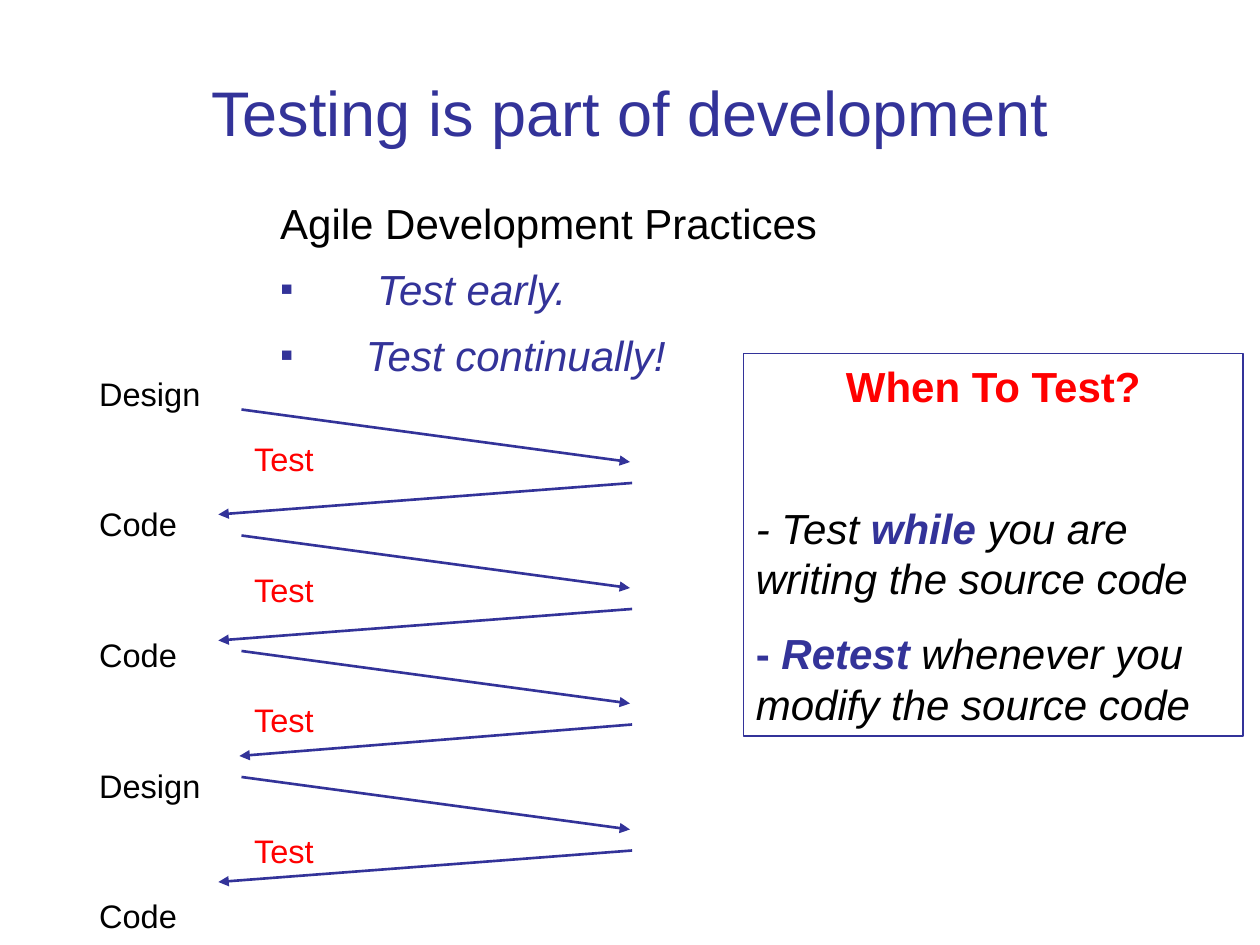
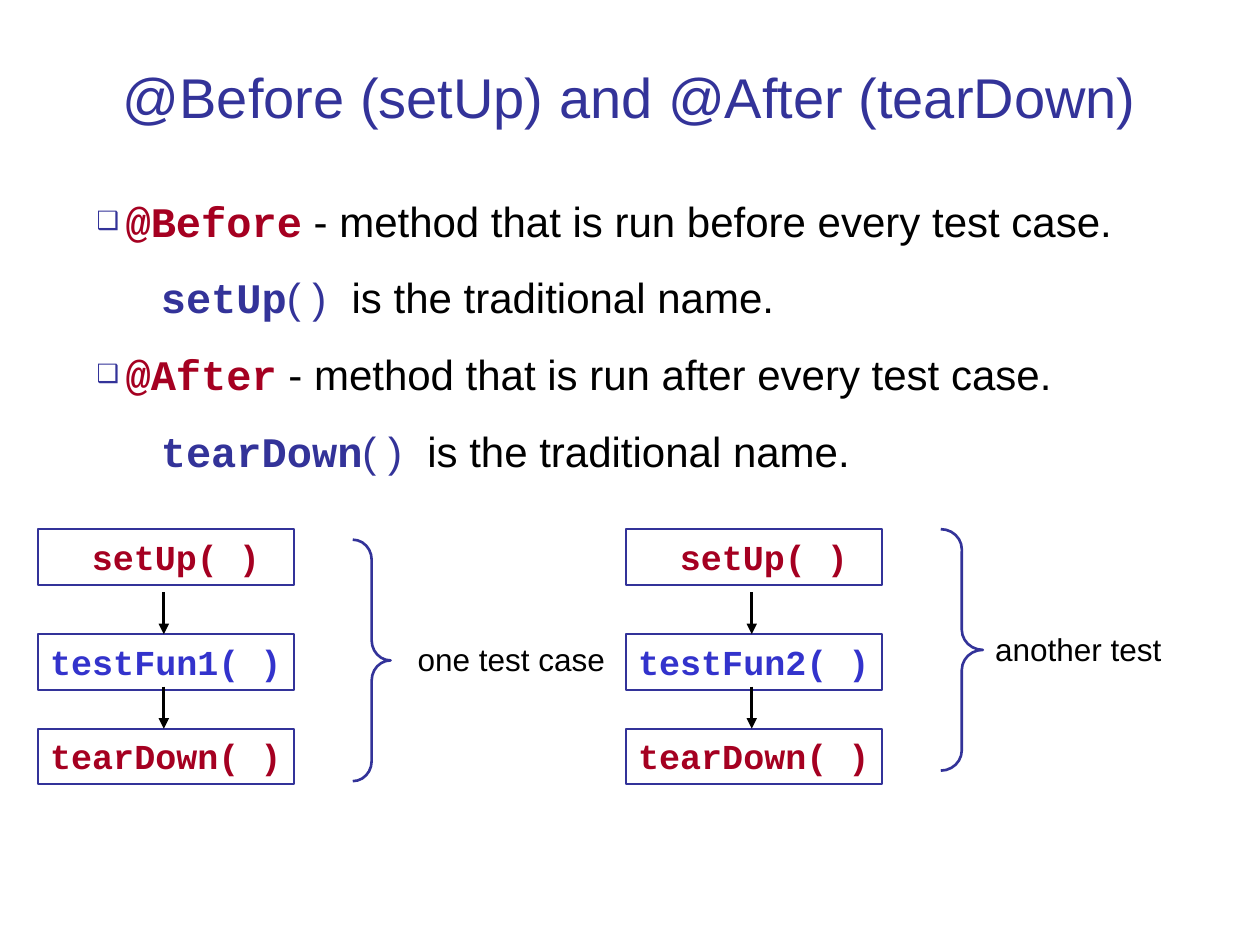
from dataclasses import dataclass

from lxml import etree
from pptx import Presentation
from pptx.dml.color import RGBColor
from pptx.enum.shapes import MSO_CONNECTOR, MSO_SHAPE
from pptx.enum.text import MSO_ANCHOR, MSO_AUTO_SIZE, PP_ALIGN
from pptx.oxml.ns import qn
from pptx.util import Inches, Pt

LEFT, CENTER = PP_ALIGN.LEFT, PP_ALIGN.CENTER
TOP, BOTTOM = MSO_ANCHOR.TOP, MSO_ANCHOR.BOTTOM
NO_FIT = MSO_AUTO_SIZE.NONE
RECTANGLE, BRACE = MSO_SHAPE.RECTANGLE, MSO_SHAPE.RIGHT_BRACE
STRAIGHT = MSO_CONNECTOR.STRAIGHT

COLORS = {"navy": "333399", "black": "000000", "red": "FF0000",
          "crimson": "A50021", "blue": "3333CC"}
SANS, MONO = "Arial", "Courier New"
COLUMNS, ROWS = 120, 90
SLIDE_WIDTH, SLIDE_HEIGHT = Inches(10), Inches(7.5)
LINE_SPACING = 1.0


@dataclass
class Area:
    """A rectangle in grid columns and rows."""
    column: float
    row: float
    width: float
    height: float

    def lengths(self) -> tuple:
        return across(self.column), down(self.row), across(self.width), down(self.height)


@dataclass
class Span:
    text: str
    color: str = "black"
    font: str = SANS
    bold: bool = False
    italic: bool = False


@dataclass
class Para:
    """A paragraph; indents are in inches, space before in points."""
    spans: list
    size: float = 24
    before: float = 0
    margin: float = 0
    bullet: str = ""
    bullet_size: int = 100
    align: int = LEFT
    level: int = 0


@dataclass
class TestCase:
    column: float
    function: str
    label: str
    label_area: Area
    brace: Area
    brace_curve: float


def across(columns: float) -> int:
    return round(SLIDE_WIDTH * columns / COLUMNS)


def down(rows: float) -> int:
    return round(SLIDE_HEIGHT * rows / ROWS)


def rgb(name: str) -> RGBColor:
    return RGBColor.from_string(COLORS[name])


def set_bullet(paragraph, para: Para) -> None:
    properties = paragraph._p.get_or_add_pPr()
    properties.set("marL", str(Inches(para.margin)))
    properties.set("indent", str(-Inches(para.margin) if para.bullet else 0))
    if not para.bullet:
        etree.SubElement(properties, qn("a:buNone"))
        return
    color = etree.SubElement(properties, qn("a:buClr"))
    etree.SubElement(color, qn("a:srgbClr"), val=COLORS["navy"])
    etree.SubElement(properties, qn("a:buSzPct"), val=str(para.bullet_size * 1000))
    etree.SubElement(properties, qn("a:buFont"), typeface=SANS)
    etree.SubElement(properties, qn("a:buChar"), char=para.bullet)


def write(box, paras: list, anchor=TOP, right_inset: float = 0.1) -> None:
    frame = box.text_frame
    frame.word_wrap = True
    frame.auto_size = NO_FIT
    frame.vertical_anchor = anchor
    frame.margin_right = Inches(right_inset)
    for index, para in enumerate(paras):
        paragraph = frame.add_paragraph() if index else frame.paragraphs[0]
        paragraph.level = para.level
        set_bullet(paragraph, para)
        paragraph.alignment = para.align
        paragraph.line_spacing = LINE_SPACING
        paragraph.space_before = Pt(para.before if index else 0)
        paragraph.space_after = Pt(0)
        for span in para.spans:
            run = paragraph.add_run()
            run.text = span.text
            run.font.name = span.font
            run.font.size = Pt(para.size)
            run.font.bold = span.bold
            run.font.italic = span.italic
            run.font.color.rgb = rgb(span.color)


def fill_placeholder(box, area: Area, paras: list, anchor=TOP) -> None:
    box.left, box.top, box.width, box.height = area.lengths()
    write(box, paras, anchor)


def add_page(deck, title: str, size: float, title_height: float,
             body_area: Area, body: list):
    page = deck.slides.add_slide(deck.slide_layouts[1])
    heading = Para([Span(title, "navy")], size, align=CENTER)
    fill_placeholder(page.shapes.title, Area(8, 3.4, 104, title_height), [heading], BOTTOM)
    fill_placeholder(page.placeholders[1], body_area, body)
    return page


def add_text(page, area: Area, paras: list) -> None:
    write(page.shapes.add_textbox(*area.lengths()), paras)


def add_outline(page, kind, area: Area, weight: float):
    shape = page.shapes.add_shape(kind, *area.lengths())
    shape.shadow.inherit = False
    shape.fill.background()
    shape.line.color.rgb = rgb("navy")
    shape.line.width = Pt(weight)
    return shape


def add_arrow(page, start: tuple, end: tuple, color: str) -> None:
    arrow = page.shapes.add_connector(
        STRAIGHT, across(start[0]), down(start[1]), across(end[0]), down(end[1]))
    arrow.line.color.rgb = rgb(color)
    arrow.line.width = Pt(1.5)
    etree.SubElement(arrow.line._get_or_add_ln(), qn("a:tailEnd"), type="triangle")
    etree.SubElement(arrow._element.spPr, qn("a:effectLst"))


def add_test_case(page, case: TestCase) -> None:
    steps = [(50.4, "setUp( )", "crimson", 0.33),
             (60.4, f"{case.function}( )", "blue", 0),
             (69.4, "tearDown( )", "crimson", 0)]
    for row, text, color, margin in steps:
        box = add_outline(page, RECTANGLE, Area(case.column, row, 24.4, 5.3), 1)
        span = Span(text, color, MONO, bold=True)
        write(box, [Para([span], 20, margin=margin)], right_inset=0)
    for row, *_ in steps[1:]:
        add_arrow(page, (case.column + 12, row - 4), (case.column + 12, row), "black")
    brace = add_outline(page, BRACE, case.brace, 1.5)
    brace.adjustments[0] = case.brace_curve
    add_text(page, case.label_area, [Para([Span(case.label)], 18)])


def build_development_page(deck) -> None:
    stages = []
    for stage in ("Design", "Code", "Code", "Design", "Code"):
        if stages:
            stages.append(Para([Span("Test", "red")], 18.6, 15, margin=1.25))
        stages.append(Para([Span(stage)], 18.6, 15, margin=0.02))
    page = add_page(deck, "Testing is part of development", 36, 11.4,
                    Area(8, 35, 61.6, 52.6), stages)

    for row, return_column in ((39, 20.8), (51, 20.8), (62, 22.8), (74, 20.8)):
        add_arrow(page, (23, row), (60, row + 5), "navy")
        add_arrow(page, (60.2, row + 7), (return_column, row + 10), "navy")

    advice = add_outline(page, RECTANGLE, Area(70.8, 33.7, 47.6, 36.4), 0.75)
    write(advice, [
        Para([Span("When To Test?", "red", bold=True)], align=CENTER),
        Para([Span("- Test ", italic=True),
              Span("while", "navy", bold=True, italic=True),
              Span(" you are writing the source code", italic=True)], before=52.4),
        Para([Span("- ", "navy", bold=True),
              Span("Retest", "navy", bold=True, italic=True),
              Span(" whenever you modify the source code", italic=True)], before=14.3),
    ])

    practices = [Para([Span("Agile Development Practices")])]
    for text, margin in (("Test early.", 0.77), ("Test continually!", 0.68)):
        practices.append(Para([Span(text, "navy", italic=True)], before=9,
                              margin=margin, bullet="▪", bullet_size=90))
    add_text(page, Area(25.5, 18.2, 69, 18.6), practices)


def build_fixture_page(deck) -> None:
    fixtures = []
    for annotation, moment, method in (("@Before", "before", "setUp"),
                                       ("@After", "after", "tearDown")):
        fixtures += [
            Para([Span(annotation, "crimson", MONO, bold=True),
                  Span(f" - method that is run {moment} every test case.")],
                 before=15, margin=0.23, bullet="❑", bullet_size=60),
            Para([Span(method, "navy", MONO, bold=True), Span("( )", "navy"),
                  Span(" ", font=MONO), Span("is the traditional name.")],
                 before=15, margin=0.51, level=1),
        ]
    page = add_page(deck, "@Before (setUp) and @After (tearDown)", 32, 9.6,
                    Area(8, 18, 104, 58.5), fixtures)

    for case in (
        TestCase(3.6, "testFun1", "one test case", Area(38.6, 60.4, 23, 4.8),
                 Area(33.6, 51.4, 3.6, 23), 0.53),
        TestCase(59.6, "testFun2", "another test", Area(93.6, 59.4, 26, 4.8),
                 Area(89.6, 50.4, 4, 23), 0.48),
    ):
        add_test_case(page, case)


def main() -> None:
    deck = Presentation()
    deck.slide_width, deck.slide_height = SLIDE_WIDTH, SLIDE_HEIGHT
    build_development_page(deck)
    build_fixture_page(deck)
    deck.save("out.pptx")


if __name__ == "__main__":
    main()
